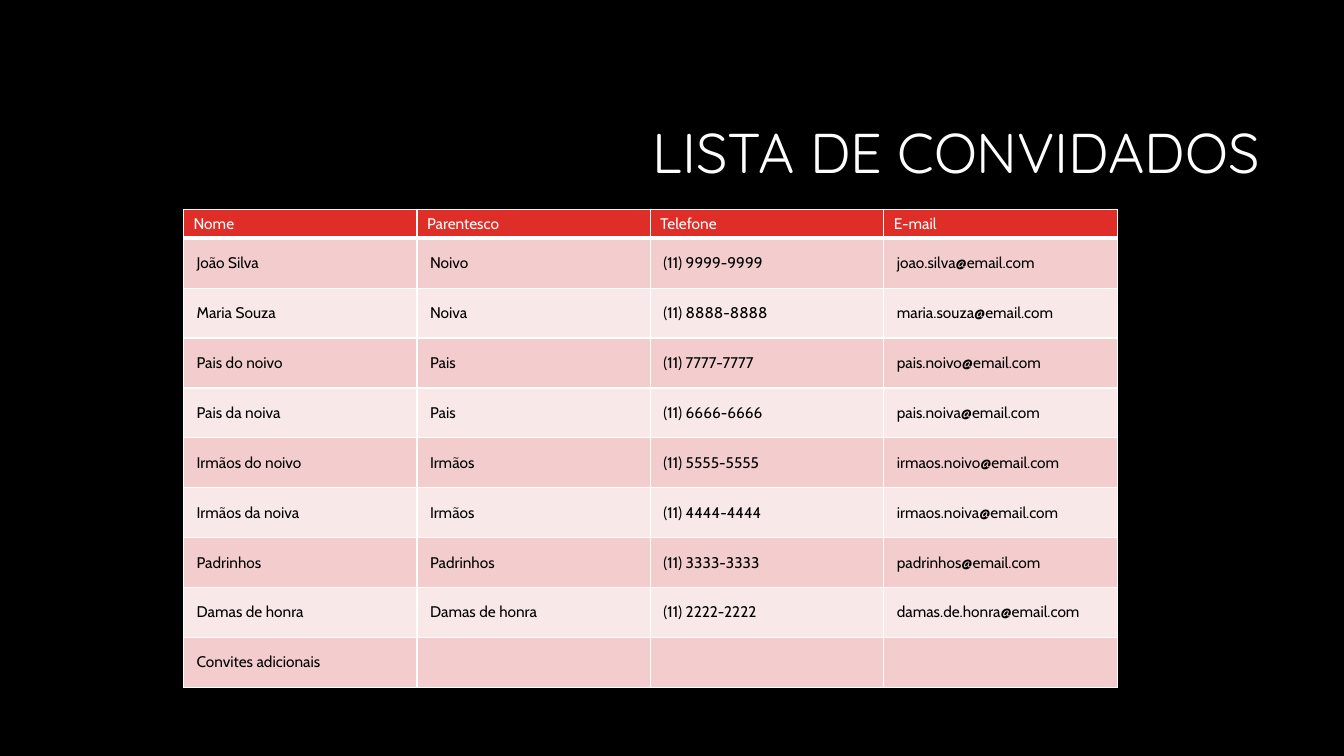
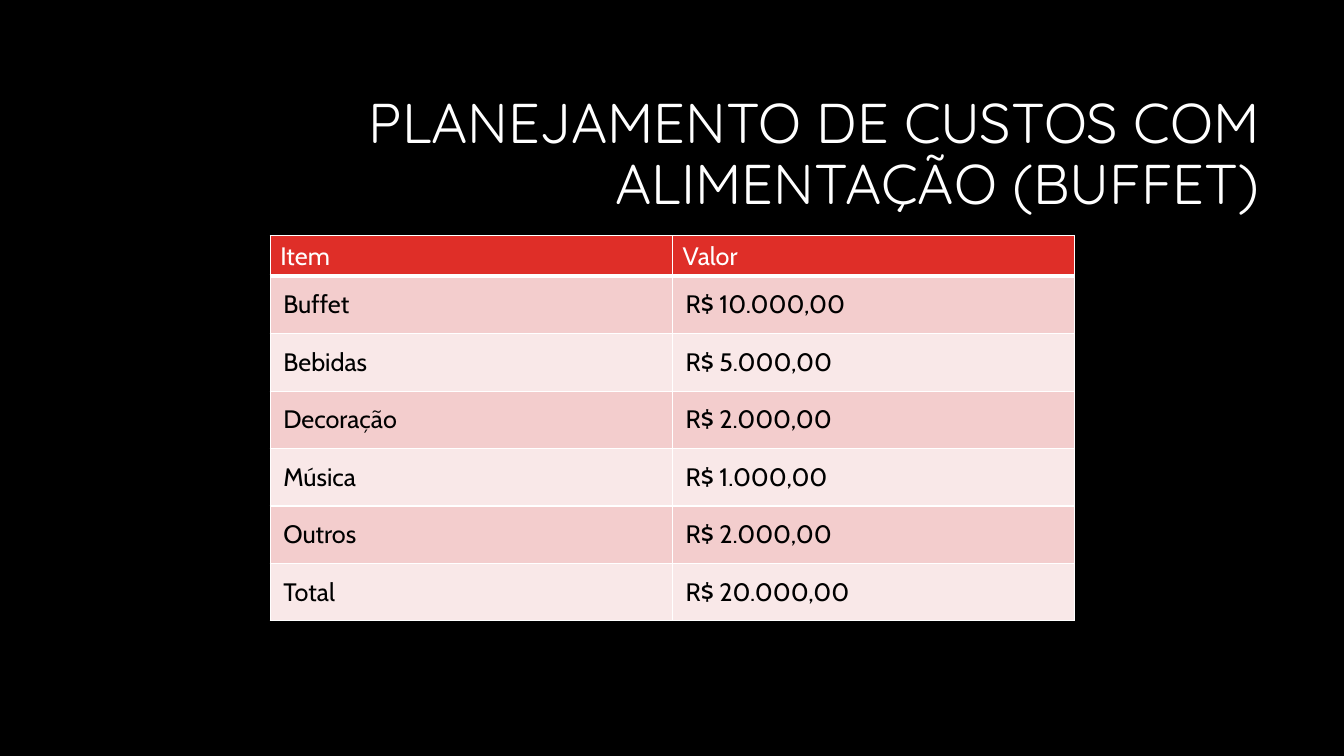
import pptx
import pptx.dml.color
import pptx.enum.text
import pptx.oxml
import pptx.oxml.ns
import pptx.util
from pptx.util import Inches

COLORS = {
    "background": "000000",
    "light": "FFFFFF",
    "dark": "000000",
    "header": "DF2E28",
    "odd_row": "F3CDCD",
    "even_row": "F9E8E8",
}
TITLE_FONT = "Quicksand"
TABLE_FONT = "Cabin"
BODY_MARGIN = Inches(0.13)
GRID_WIDTH = 1
HEADER_RULE_WIDTH = 3

GUESTS = [
    ("Nome", "Parentesco", "Telefone", "E-mail"),
    ("João Silva", "Noivo", "(11) 9999-9999", "joao.silva@email.com"),
    ("Maria Souza", "Noiva", "(11) 8888-8888", "maria.souza@email.com"),
    ("Pais do noivo", "Pais", "(11) 7777-7777", "pais.noivo@email.com"),
    ("Pais da noiva", "Pais", "(11) 6666-6666", "pais.noiva@email.com"),
    ("Irmãos do noivo", "Irmãos", "(11) 5555-5555", "irmaos.noivo@email.com"),
    ("Irmãos da noiva", "Irmãos", "(11) 4444-4444", "irmaos.noiva@email.com"),
    ("Padrinhos", "Padrinhos", "(11) 3333-3333", "padrinhos@email.com"),
    ("Damas de honra", "Damas de honra", "(11) 2222-2222", "damas.de.honra@email.com"),
    ("Convites adicionais", "", "", ""),
]
COSTS = [
    ("Item", "Valor"),
    ("Buffet", "R$ 10.000,00"),
    ("Bebidas", "R$ 5.000,00"),
    ("Decoração", "R$ 2.000,00"),
    ("Música", "R$ 1.000,00"),
    ("Outros", "R$ 2.000,00"),
    ("Total", "R$ 20.000,00"),
]


def rgb(color):
    return pptx.dml.color.RGBColor.from_string(COLORS[color])


def add_run(paragraph, text, font, size, color):
    run = paragraph.add_run()
    run.text = text
    run.font.name = font
    run.font.size = pptx.util.Pt(size)
    run.font.color.rgb = rgb(color)


def add_title(slide, text):
    title = slide.shapes.add_textbox(Inches(3.17), Inches(0.84), Inches(9.42), Inches(1.41))
    frame = title.text_frame
    frame.word_wrap = True
    frame.vertical_anchor = pptx.enum.text.MSO_ANCHOR.MIDDLE
    paragraph = frame.paragraphs[0]
    paragraph.alignment = pptx.enum.text.PP_ALIGN.RIGHT
    paragraph.line_spacing = 0.9
    add_run(paragraph, text, TITLE_FONT, 40, "light")


def set_borders(cell, top, bottom):
    """Draw the four cell edges; top and bottom are widths in points."""
    properties = cell._tc.get_or_add_tcPr()
    widths = {"lnL": GRID_WIDTH, "lnR": GRID_WIDTH, "lnT": top, "lnB": bottom}
    for edge, width in widths.items():
        properties.append(pptx.oxml.parse_xml(
            f'<a:{edge} {pptx.oxml.ns.nsdecls("a")} w="{pptx.util.Pt(width)}">'
            f'<a:solidFill><a:srgbClr val="{COLORS["light"]}"/></a:solidFill>'
            f'</a:{edge}>'))


def fill_cell(cell, text, row, size):
    is_header = row == 0
    set_borders(cell,
                top=HEADER_RULE_WIDTH if row == 1 else GRID_WIDTH,
                bottom=HEADER_RULE_WIDTH if is_header else GRID_WIDTH)
    cell.fill.solid()
    cell.fill.fore_color.rgb = rgb(
        "header" if is_header else "odd_row" if row % 2 else "even_row")
    cell.vertical_anchor = pptx.enum.text.MSO_ANCHOR.MIDDLE
    if not text:
        return
    if not is_header:
        cell.margin_left = cell.margin_right = BODY_MARGIN
        cell.margin_top = cell.margin_bottom = BODY_MARGIN
    add_run(cell.text_frame.paragraphs[0], text, TABLE_FONT, size,
            "light" if is_header else "dark")


def add_banded_table(slide, records, left, top, column_width, header_height, row_height, size):
    columns = len(records[0])
    height = header_height + row_height * (len(records) - 1)
    table = slide.shapes.add_table(
        len(records), columns, Inches(left), Inches(top),
        Inches(column_width * columns), Inches(height)).table
    table.first_row = table.horz_banding = False
    for column in table.columns:
        column.width = Inches(column_width)
    for row, record in enumerate(records):
        table.rows[row].height = Inches(row_height if row else header_height)
        for column, text in enumerate(record):
            fill_cell(table.cell(row, column), text, row, size)


def add_table_slide(deck, title, records, **layout):
    slide = deck.slides.add_slide(deck.slide_layouts[6])
    add_title(slide, title)
    add_banded_table(slide, records, **layout)


def main():
    deck = pptx.Presentation()
    deck.slide_width = Inches(13.33)
    deck.slide_height = Inches(7.5)
    backdrop = deck.slide_master.background.fill
    backdrop.solid()
    backdrop.fore_color.rgb = rgb("background")

    add_table_slide(deck, "LISTA DE CONVIDADOS", GUESTS, left=1.82, top=2.08,
                    column_width=2.315, header_height=0.28, row_height=0.495, size=11)
    add_table_slide(deck, "PLANEJAMENTO DE CUSTOS COM ALIMENTAÇÃO (BUFFET)", COSTS,
                    left=2.68, top=2.34, column_width=3.99,
                    header_height=0.4, row_height=0.57, size=18)
    deck.save("out.pptx")


if __name__ == "__main__":
    main()
